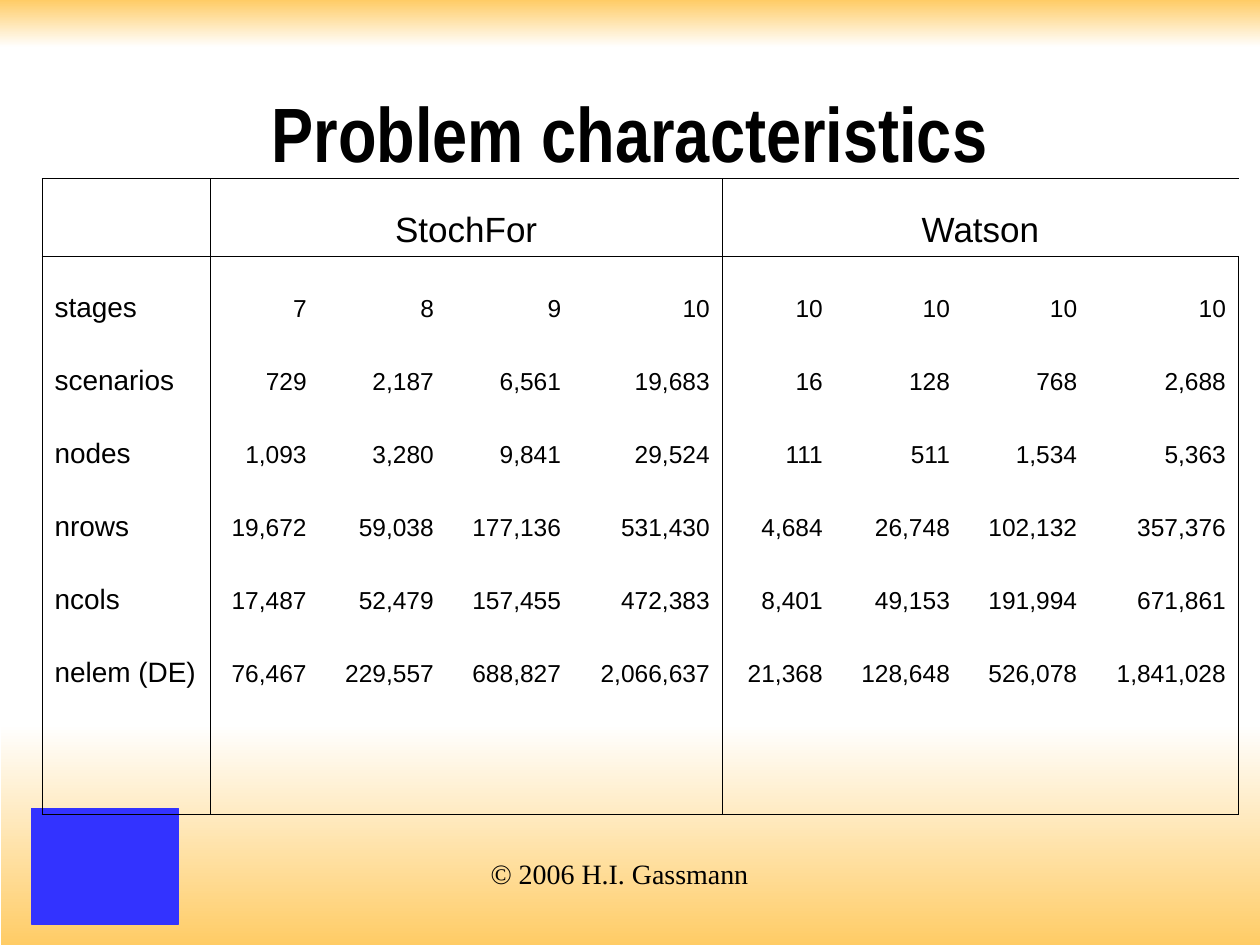
from dataclasses import dataclass

from lxml import etree
from pptx import Presentation
from pptx import util as u
from pptx.dml.color import RGBColor
from pptx.enum import shapes, text
from pptx.oxml import ns


@dataclass(frozen=True)
class Theme:
    ink: str = "000000"
    paper: str = "FFFFFF"
    glow: str = "FFCC66"
    badge: str = "3333FF"
    title_font: str = "Arial Narrow"
    body_font: str = "Arial"
    footer_font: str = "Times New Roman"
    title: float = 44
    header: float = 20
    label: float = 16
    value: float = 14
    rule: float = 0.45


PROBLEMS = {1: "StochFor", 5: "Watson"}
SPAN = 4
ROWS = [
    ["stages", "7", "8", "9", "10", "10", "10", "10", "10"],
    ["scenarios", "729", "2,187", "6,561", "19,683", "16", "128", "768", "2,688"],
    ["nodes", "1,093", "3,280", "9,841", "29,524", "111", "511", "1,534", "5,363"],
    ["nrows", "19,672", "59,038", "177,136", "531,430", "4,684", "26,748", "102,132", "357,376"],
    ["ncols", "17,487", "52,479", "157,455", "472,383", "8,401", "49,153", "191,994", "671,861"],
    ["nelem (DE)", "76,467", "229,557", "688,827", "2,066,637", "21,368", "128,648", "526,078", "1,841,028"],
]
COL_WIDTHS = [96, 62.5, 72.7, 72.7, 85, 64.6, 72.7, 72.7, 85]
ROW_HEIGHTS = [44.6] + [41.7] * 7 + [26.8]


class SlideBuilder:
    """Draws themed elements on one slide, with lengths in points."""

    def __init__(self, s, theme):
        self.s, self.theme = s, theme

    def style(self, p, size, font, align, bold=False):
        p.alignment = align
        for r in p.runs:
            r.font.size, r.font.name, r.font.bold = u.Pt(size), font, bold
            r.font.color.rgb = RGBColor.from_string(self.theme.ink)

    def rect(self, box, *colors, line=None):
        sp = self.s.shapes.add_shape(shapes.MSO_SHAPE.RECTANGLE, *map(u.Pt, box))
        sp.shadow.inherit = False
        if len(colors) == 1:
            sp.fill.solid()
            sp.fill.fore_color.rgb = RGBColor.from_string(colors[0])
        else:
            sp.fill.gradient()
            sp.fill.gradient_angle = 270
            for stop, color in zip(sp.fill.gradient_stops, colors):
                stop.color.rgb = RGBColor.from_string(color)
        if line:
            sp.line.color.rgb = RGBColor.from_string(line)
            sp.line.width = u.Pt(0.75)
        else:
            sp.line.fill.background()

    def textbox(self, box, words, size, font, bold=False, grow=False):
        tf = self.s.shapes.add_textbox(*map(u.Pt, box)).text_frame
        tf.text = words
        tf.word_wrap = True
        tf.vertical_anchor = text.MSO_ANCHOR.TOP if grow else text.MSO_ANCHOR.MIDDLE
        tf.auto_size = text.MSO_AUTO_SIZE.SHAPE_TO_FIT_TEXT if grow else text.MSO_AUTO_SIZE.NONE
        self.style(tf.paragraphs[0], size, font, text.PP_ALIGN.CENTER, bold)

    def borders(self, cell, **sides):
        tc_pr = cell._tc.get_or_add_tcPr()
        for side, shown in sides.items():
            ln = etree.SubElement(tc_pr, ns.qn(f"a:ln{side}"), w=str(u.Pt(self.theme.rule)))
            fill = etree.SubElement(ln, ns.qn("a:solidFill" if shown else "a:noFill"))
            if shown:
                etree.SubElement(fill, ns.qn("a:srgbClr"), val=self.theme.ink)
        cell.fill.background()

    def cell_text(self, cell, words, size, align):
        cell.text = words
        cell.vertical_anchor = text.MSO_ANCHOR.BOTTOM
        p = cell.text_frame.paragraphs[0]
        p_pr = p._p.get_or_add_pPr()
        p_pr.set("marL", str(u.Pt(27)))
        p_pr.set("indent", str(u.Pt(-27)))
        self.style(p, size, self.theme.body_font, align)

    def table(self, left, top, widths, heights, problems, rows):
        n_rows, n_cols = len(heights), len(widths)
        box = (left, top, sum(widths), sum(heights))
        tbl = self.s.shapes.add_table(n_rows, n_cols, *map(u.Pt, box)).table
        tbl.first_row = tbl.horz_banding = False
        for col, width in zip(tbl.columns, widths):
            col.width = u.Pt(width)
        for row, height in zip(tbl.rows, heights):
            row.height = u.Pt(height)
        starts = {0, *problems}
        ends = {start - 1 for start in problems} | {n_cols - 1}
        for i in range(n_rows):
            for j in range(n_cols):
                cell = tbl.cell(i, j)
                self.borders(cell, L=j in starts, R=j in ends, T=i in (0, 1), B=i in (0, n_rows - 1))
                if i > len(rows):
                    cell.margin_top = cell.margin_bottom = 0
        for j, name in problems.items():
            tbl.cell(0, j).merge(tbl.cell(0, j + SPAN - 1))
            self.cell_text(tbl.cell(0, j), name, self.theme.header, text.PP_ALIGN.CENTER)
        for i, (label, *values) in enumerate(rows, 1):
            self.cell_text(tbl.cell(i, 0), label, self.theme.label, text.PP_ALIGN.LEFT)
            for j, value in enumerate(values, 1):
                self.cell_text(tbl.cell(i, j), value, self.theme.value, text.PP_ALIGN.RIGHT)


def main():
    prs = Presentation()
    prs.slide_width, prs.slide_height = u.Pt(720), u.Pt(540)
    t = Theme()
    b = SlideBuilder(prs.slides.add_slide(prs.slide_layouts[6]), t)
    b.rect((0.75, 414, 719.25, 126), t.paper, t.glow)
    b.rect((0, 0, 720, 27), t.glow, t.paper)
    b.rect((18, 462, 84, 66), t.badge, line=t.badge)
    b.textbox((210, 486, 288, 26.5), "© 2006 H.I. Gassmann", t.label, t.footer_font, grow=True)
    b.textbox((54, 30, 612, 90), "Problem characteristics", t.title, t.title_font, bold=True)
    b.table(24, 102, COL_WIDTHS, ROW_HEIGHTS, PROBLEMS, ROWS)
    prs.save("out.pptx")


if __name__ == "__main__":
    main()
